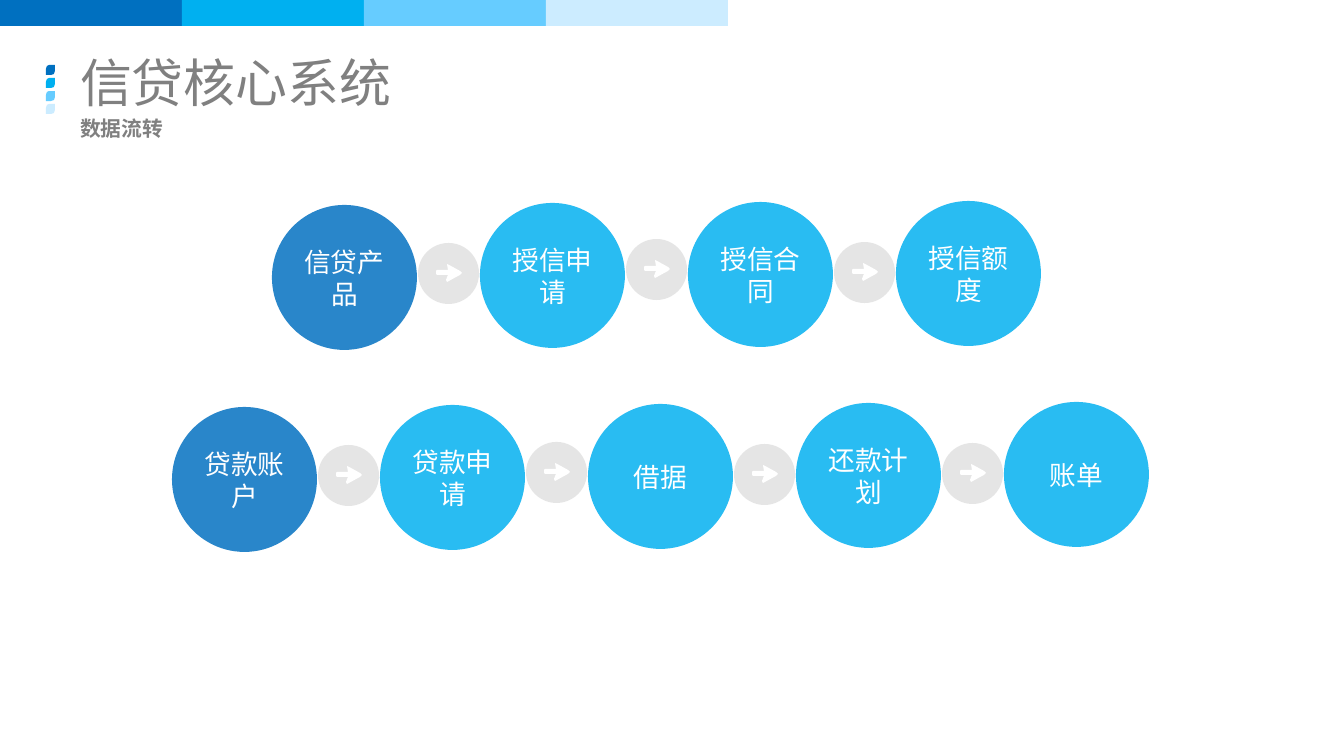
import pptx
import pptx.util
import pptx.dml.color
import pptx.enum.shapes
import pptx.enum.text
import pptx.oxml
import pptx.oxml.ns

RGBColor = pptx.dml.color.RGBColor
MSO_SHAPE = pptx.enum.shapes.MSO_SHAPE
MSO_ANCHOR = pptx.enum.text.MSO_ANCHOR
MSO_AUTO_SIZE = pptx.enum.text.MSO_AUTO_SIZE
PP_ALIGN = pptx.enum.text.PP_ALIGN

PX = 914400 / 134.4
FONT = "Noto Sans CJK SC"
BLUE = RGBColor(0x00, 0x70, 0xC0)
CYAN = RGBColor(0x00, 0xB0, 0xF0)
SKY = RGBColor(0x66, 0xCC, 0xFF)
PALE = RGBColor(0xCC, 0xEC, 0xFF)
GREY = RGBColor(0x80, 0x80, 0x80)
SILVER = RGBColor(0xD8, 0xD8, 0xD8)
WHITE = RGBColor(0xFF, 0xFF, 0xFF)


def paint(sp, color, opacity=100):
    sp.shadow.inherit = False
    sp.fill.solid()
    sp.fill.fore_color.rgb = color
    sp.line.fill.background()
    if opacity < 100:
        clr = sp.fill._xPr.find(".//" + pptx.oxml.ns.qn("a:srgbClr"))
        alpha = pptx.oxml.parse_xml(
            f'<a:alpha {pptx.oxml.ns.nsdecls("a")} val="{opacity * 1000}"/>')
        clr.append(alpha)


def write(sp, text, size, color, align, anchor, inset_x, inset_y):
    tf = sp.text_frame
    tf.text = text
    tf.word_wrap = True
    tf.auto_size = MSO_AUTO_SIZE.NONE
    tf.vertical_anchor = anchor
    tf.margin_left = tf.margin_right = round(inset_x * PX)
    tf.margin_top = tf.margin_bottom = round(inset_y * PX)
    p = tf.paragraphs[0]
    p.alignment = align
    p.space_before = pptx.util.Pt(0)
    r = p.runs[0]
    r.font.size = pptx.util.Pt(size)
    r.font.name = FONT
    r.font.color.rgb = color
    r._r.get_or_add_rPr().append(pptx.oxml.parse_xml(
        f'<a:ea {pptx.oxml.ns.nsdecls("a")} typeface="{FONT}"/>'))
    return p


prs = pptx.Presentation()
prs.slide_width = round(1344 * PX)
prs.slide_height = round(756 * PX)
s = prs.slides.add_slide(prs.slide_layouts[1])
shapes = s.shapes

# Colour band along the top and leaf marks beside the title
LEAF = [(3, 0), (9, 0), (9, 6), (8, 9), (5, 10), (0, 10), (0, 4), (1, 1)]
for i, color in enumerate([BLUE, CYAN, SKY, PALE]):
    sp = shapes.add_shape(MSO_SHAPE.RECTANGLE, round(182 * i * PX), 0,
                          round(182 * PX), round(26 * PX))
    paint(sp, color)
    fb = shapes.build_freeform(*LEAF[0], scale=PX)
    fb.add_line_segments(LEAF[1:], close=True)
    paint(fb.convert_to_shape(round(46 * PX), round((65 + 13 * i) * PX)), color)

# Title and subtitle
title = shapes.title
body = s.placeholders[1]
for sp, top, height in [(title, 55, 54), (body, 109, 44)]:
    sp.left, sp.top = round(67 * PX), round(top * PX)
    sp.width, sp.height = round(1210 * PX), round(height * PX)
write(title, "信贷核心系统", 27.8, GREY, PP_ALIGN.LEFT, MSO_ANCHOR.MIDDLE, 13, 7)
p = write(body, "数据流转", 11.1, GREY, PP_ALIGN.LEFT, MSO_ANCHOR.TOP, 13, 7)
p.runs[0].font.bold = True
pPr = p._p.get_or_add_pPr()
pPr.set("marL", str(round(50 * PX)))
pPr.set("indent", str(round(-50 * PX)))
pPr.append(pptx.oxml.parse_xml(f'<a:buNone {pptx.oxml.ns.nsdecls("a")}/>'))

# Two flows: left edge, (label, top) of each step, top of each link
FLOWS = [
    (272, [("信贷产品", 205), ("授信申请", 203), ("授信合同", 202), ("授信额度", 201)],
     [243, 239, 242]),
    (172, [("贷款账户", 407), ("贷款申请", 405), ("借据", 404), ("还款计划", 403),
           ("账单", 402)],
     [445, 442, 444, 443]),
]
PITCH = 208
ARROW = [(11, 0), (12, 6), (1, 6), (0, 7), (0, 10), (1, 11), (12, 11), (10, 16),
         (11, 18), (13, 17), (24, 11), (26, 9), (24, 7), (13, 1)]
for left, steps, links in FLOWS:
    # Step circles
    for i, (label, top) in enumerate(steps):
        sp = shapes.add_shape(MSO_SHAPE.OVAL, round((left + PITCH * i) * PX),
                              round(top * PX), round(145 * PX), round(145 * PX))
        paint(sp, CYAN if i else BLUE, 84)
        write(sp, label, 14.3, WHITE, PP_ALIGN.CENTER, MSO_ANCHOR.MIDDLE, 11, 5)
    # Small link circles with arrows
    for i, top in enumerate(links):
        x = left + 146 + PITCH * i
        sp = shapes.add_shape(MSO_SHAPE.OVAL, round(x * PX), round(top * PX),
                              round(61 * PX), round(61 * PX))
        paint(sp, SILVER, 65)
        fb = shapes.build_freeform(*ARROW[0], scale=PX)
        fb.add_line_segments(ARROW[1:], close=True)
        paint(fb.convert_to_shape(round((x + 18) * PX), round((top + 21) * PX)),
              WHITE)

prs.save("out.pptx")
